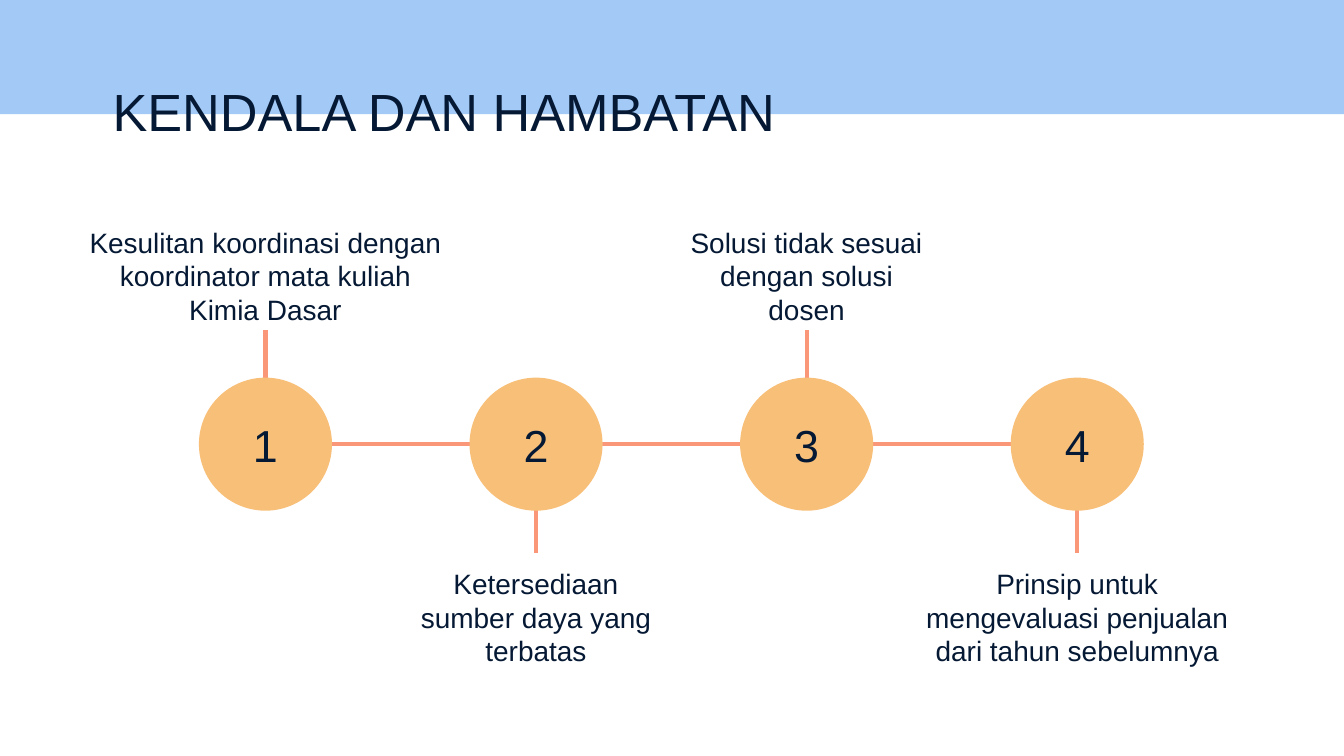
from lxml import etree
from pptx import Presentation
from pptx.dml.color import RGBColor
from pptx.enum.shapes import MSO_CONNECTOR, MSO_SHAPE
from pptx.enum.text import MSO_ANCHOR, PP_ALIGN
from pptx.oxml.ns import qn
from pptx.util import Inches, Pt

STRAIGHT = MSO_CONNECTOR.STRAIGHT
RECTANGLE, OVAL = MSO_SHAPE.RECTANGLE, MSO_SHAPE.OVAL
LEFT, CENTER = PP_ALIGN.LEFT, PP_ALIGN.CENTER
TOP, MIDDLE = MSO_ANCHOR.TOP, MSO_ANCHOR.MIDDLE

COLORS = {"band": "A3CAF7", "ink": "051934", "line": "FA9778", "circle": "F8BF79"}
FONT = "Arial"
SLIDE_WIDTH = 10
SLIDE_HEIGHT = SLIDE_WIDTH * 9 / 16
MARGIN = 0.1
DIAMETER = 0.99
CAPTION_HEIGHT = 0.63
CAPTION_OFFSET = 1.27  # from the timeline's axis to the middle of the caption rows
STEM_ABOVE, STEM_BELOW = 0.85, 0.81

# Caption and its width; captions alternate above and below the axis.
STEPS = [
    ("Kesulitan koordinasi dengan koordinator mata kuliah Kimia Dasar", 2.87),
    ("Ketersediaan sumber daya yang terbatas", 1.93),
    ("Solusi tidak sesuai dengan solusi dosen", 1.93),
    ("Prinsip untuk mengevaluasi penjualan dari tahun sebelumnya", 2.71),
]


def color(name):
    return RGBColor.from_string(COLORS[name])


def write(shape, text, size, align=CENTER, anchor=TOP):
    frame = shape.text_frame
    frame.word_wrap = True
    frame.vertical_anchor = anchor
    frame.margin_left = frame.margin_right = Inches(MARGIN)
    frame.margin_top = frame.margin_bottom = Inches(MARGIN)
    paragraph = frame.paragraphs[0]
    paragraph.text = text
    paragraph.alignment = align
    paragraph.font.name = FONT
    paragraph.font.size = Pt(size)
    paragraph.font.color.rgb = color("ink")


def add_text(slide, box, text, size, align=CENTER):
    shape = slide.shapes.add_textbox(*map(Inches, box))
    write(shape, text, size, align)


def add_filled(slide, kind, box, fill):
    shape = slide.shapes.add_shape(kind, *map(Inches, box))
    shape.shadow.inherit = False
    shape.fill.solid()
    shape.fill.fore_color.rgb = color(fill)
    shape.line.fill.background()
    return shape


def add_line(slide, *ends):
    line = slide.shapes.add_connector(STRAIGHT, *map(Inches, ends))
    line.line.color.rgb = color("line")
    line.line.width = Pt(2.25)
    etree.SubElement(line._element.spPr, qn("a:effectLst"))


def add_header(slide, box, title):
    """Draw the band; the title straddles its lower edge."""
    left, top, width, height = box
    add_filled(slide, RECTANGLE, box, "band")
    title_box = (left + 0.74, top + 0.49, width - 2.27, 0.63)
    add_text(slide, title_box, title, 28, LEFT)


def add_timeline(slide, box, steps):
    """Spread numbered circles over the box, with its middle as the axis."""
    left, top, width, height = box
    axis = top + height / 2
    pitch = (width - DIAMETER) / (len(steps) - 1)
    add_line(slide, left + DIAMETER, axis, left + width - DIAMETER, axis)
    for index, (caption, caption_width) in enumerate(steps):
        center = left + DIAMETER / 2 + index * pitch
        above = index % 2 == 0
        stem_end = axis - STEM_ABOVE if above else axis + STEM_BELOW
        row = axis + (-CAPTION_OFFSET if above else CAPTION_OFFSET)
        add_line(slide, center, axis, center, stem_end)
        circle_box = (center - DIAMETER / 2, axis - DIAMETER / 2, DIAMETER, DIAMETER)
        circle = add_filled(slide, OVAL, circle_box, "circle")
        write(circle, str(index + 1), 24, anchor=MIDDLE)
        caption_box = (center - caption_width / 2, row - 0.46,
                       caption_width, CAPTION_HEIGHT)
        add_text(slide, caption_box, caption, 15)


def main():
    presentation = Presentation()
    presentation.slide_width = Inches(SLIDE_WIDTH)
    presentation.slide_height = Inches(SLIDE_HEIGHT)
    slide = presentation.slides.add_slide(presentation.slide_layouts[6])
    add_header(slide, (0, 0, SLIDE_WIDTH, 0.85), "KENDALA DAN HAMBATAN")
    add_timeline(slide, (1.48, 2.81, 7.03, DIAMETER), STEPS)
    presentation.save("out.pptx")


if __name__ == "__main__":
    main()
